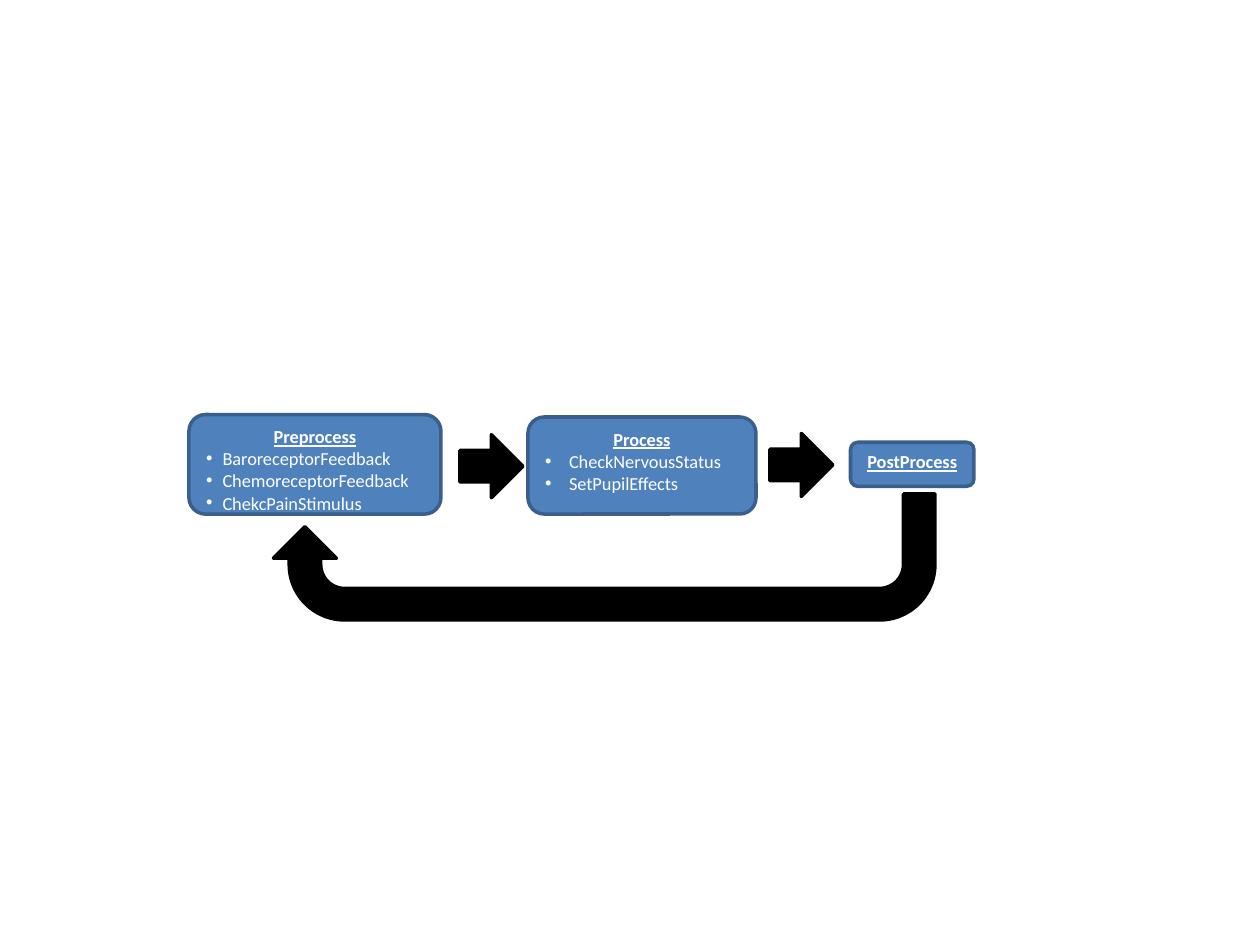
from dataclasses import dataclass

from lxml import etree
from pptx import Presentation
from pptx.dml.color import RGBColor
from pptx.enum import shapes, text
from pptx.oxml import ns
from pptx.util import Inches, Pt


@dataclass(frozen=True)
class Theme:
    """Colours, font and sizes of the slide."""
    box: RGBColor = RGBColor(0x4F, 0x81, 0xBD)
    border: RGBColor = RGBColor(0x3A, 0x5F, 0x8C)
    arrow: RGBColor = RGBColor(0, 0, 0)
    label: RGBColor = RGBColor(0xFF, 0xFF, 0xFF)
    font: str = "Calibri"
    label_size: float = 10.5
    line_width: float = 2


@dataclass(frozen=True)
class Area:
    """A place on the slide, in inches."""
    left: float
    top: float
    width: float
    height: float


@dataclass(frozen=True)
class Stage:
    """One stage of the loop with its bulleted steps."""
    title: str
    area: Area
    steps: tuple[str, ...] = ()
    indent: float = 0


@dataclass(frozen=True)
class Arrow:
    """A block arrow between stages."""
    kind: shapes.MSO_SHAPE
    area: Area
    rotation: float
    adjustments: tuple[float, ...] = ()


THEME = Theme()
STAGES = (
    Stage("Preprocess", Area(1.5, 3.29, 2, 0.79),
          ("BaroreceptorFeedback", "ChemoreceptorFeedback", "ChekcPainStimulus"), 0.13),
    Stage("Process", Area(4.19, 3.31, 1.81, 0.77),
          ("CheckNervousStatus", "SetPupilEffects"), 0.19),
    Stage("PostProcess", Area(6.75, 3.51, 0.98, 0.35)),
)
ARROWS = (
    Arrow(shapes.MSO_SHAPE.DOWN_ARROW, Area(3.65, 3.45, 0.5, 0.5), 270),
    Arrow(shapes.MSO_SHAPE.DOWN_ARROW, Area(6.11, 3.44, 0.5, 0.5), 270),
    Arrow(shapes.MSO_SHAPE.U_TURN_ARROW, Area(2.17, 3.92, 5.25, 1), 180,
          (0.25, 0.25, 0.25, 0.44, 0.74)),
)


def add_block(slide, kind: shapes.MSO_SHAPE, area: Area, fill: RGBColor, line: RGBColor):
    """Add a filled and outlined preset shape without a shadow."""
    block = slide.shapes.add_shape(kind, Inches(area.left), Inches(area.top),
                                   Inches(area.width), Inches(area.height))
    block.shadow.inherit = False
    block.fill.solid()
    block.fill.fore_color.rgb = fill
    block.line.color.rgb = line
    block.line.width = Pt(THEME.line_width)
    return block


def add_bullet(paragraph, indent: float) -> None:
    """Give a paragraph a round bullet with a hanging indent."""
    properties = paragraph._p.get_or_add_pPr()
    properties.set("marL", str(Inches(indent)))
    properties.set("indent", str(-Inches(indent)))
    etree.SubElement(properties, ns.qn("a:buFont")).set("typeface", "Arial")
    etree.SubElement(properties, ns.qn("a:buChar")).set("char", "•")


def add_stage(slide, stage: Stage) -> None:
    """Draw a stage box with its heading and steps."""
    box = add_block(slide, shapes.MSO_SHAPE.ROUNDED_RECTANGLE, stage.area,
                    THEME.box, THEME.border)
    frame = box.text_frame
    frame.word_wrap = True
    frame.vertical_anchor = text.MSO_ANCHOR.TOP
    frame.text = "\n".join((stage.title, *stage.steps))
    for position, paragraph in enumerate(frame.paragraphs):
        heading = position == 0
        paragraph.alignment = text.PP_ALIGN.CENTER if heading else text.PP_ALIGN.LEFT
        if not heading:
            add_bullet(paragraph, stage.indent)
        for run in paragraph.runs:
            run.font.name = THEME.font
            run.font.size = Pt(THEME.label_size)
            run.font.color.rgb = THEME.label
            run.font.bold = heading
            run.font.underline = heading


def add_arrow(slide, arrow: Arrow) -> None:
    """Draw a block arrow."""
    block = add_block(slide, arrow.kind, arrow.area, THEME.arrow, THEME.arrow)
    block.rotation = arrow.rotation
    for index, value in enumerate(arrow.adjustments):
        block.adjustments[index] = value


def main() -> None:
    """Build and save the slide."""
    deck = Presentation()
    deck.slide_width, deck.slide_height = Inches(10), Inches(7.5)
    slide = deck.slides.add_slide(deck.slide_layouts.get_by_name("Blank"))
    for stage in STAGES:
        add_stage(slide, stage)
    for arrow in ARROWS:
        add_arrow(slide, arrow)
    deck.save("out.pptx")


main()
